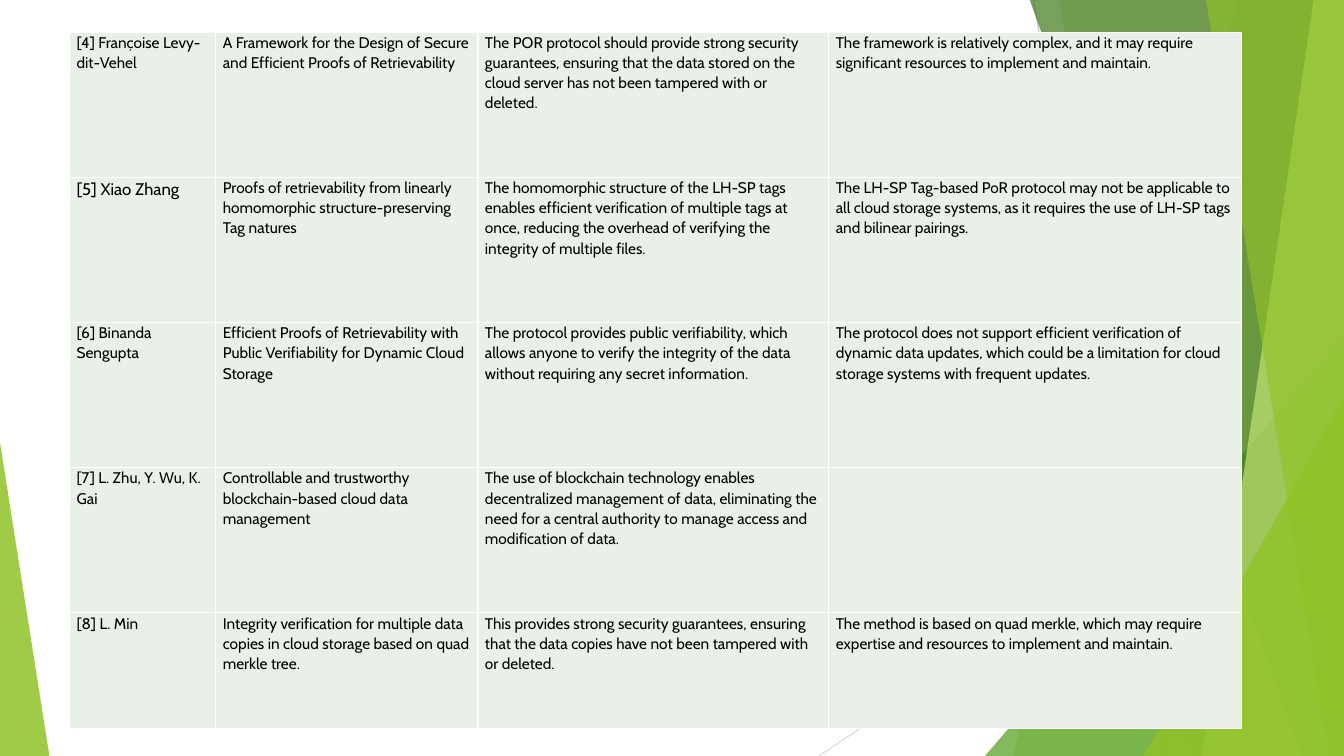
from lxml import etree
from pptx import Presentation
from pptx.dml.color import RGBColor
from pptx.enum.shapes import MSO_CONNECTOR, MSO_SHAPE
from pptx.oxml.ns import qn
from pptx.util import Pt

STRAIGHT = MSO_CONNECTOR.STRAIGHT
PEAK = MSO_SHAPE.ISOSCELES_TRIANGLE
SCALE = 9144
WIDE, HIGH = 1333, 750

THEME = {
    "lime": "90C226", "green": "54A021", "forest": "3F7819", "pale": "C0E474",
    "grey": "BFBFBF", "mist": "D9D9D9", "cell": "E9F0E8", "edge": "FFFFFF",
    "ink": "000000", "font": "Cabin", "size": Pt(11), "large": Pt(12),
}
PARA = {"line_spacing": 1.07, "space_after": Pt(8)}
FONT = {"name": THEME["font"], "size": THEME["size"]}

COLS = [145, 260, 348, 409]
ROWS = [144, 144, 144, 144, 115]
LARGE = {(1, 0)}
PAPERS = [
    ["[4] Françoise Levy-dit-Vehel",
     "A Framework for the Design of Secure and Efficient Proofs of Retrievability",
     "The POR protocol should provide strong security guarantees, ensuring that the data "
     "stored on the cloud server has not been tampered with or deleted.",
     "The framework is relatively complex, and it may require significant resources to "
     "implement and maintain."],
    ["[5] Xiao Zhang",
     "Proofs of retrievability from linearly homomorphic structure-preserving Tag natures",
     "The homomorphic structure of the LH-SP tags enables efficient verification of multiple "
     "tags at once, reducing the overhead of verifying the integrity of multiple files.",
     "The LH-SP Tag-based PoR protocol may not be applicable to all cloud storage systems, "
     "as it requires the use of LH-SP tags and bilinear pairings."],
    ["[6] Binanda Sengupta",
     "Efficient Proofs of Retrievability with Public Verifiability for Dynamic Cloud Storage",
     "The protocol provides public verifiability, which allows anyone to verify the integrity "
     "of the data without requiring any secret information.",
     "The protocol does not support efficient verification of dynamic data updates, which "
     "could be a limitation for cloud storage systems with frequent updates."],
    ["[7] L. Zhu, Y. Wu, K. Gai",
     "Controllable and trustworthy blockchain-based cloud data management",
     "The use of blockchain technology enables decentralized management of data, eliminating "
     "the need for a central authority to manage access and modification of data.",
     ""],
    ["[8] L. Min",
     "Integrity verification for multiple data copies in cloud storage based on quad merkle tree.",
     "This provides strong security guarantees, ensuring that the data copies have not been "
     "tampered with or deleted.",
     "The method is based on quad merkle, which may require expertise and resources to "
     "implement and maintain."],
]


def px(*nums):
    return [n * SCALE for n in nums]


def tint(name):
    return RGBColor.from_string(THEME[name])


def style(item, form):
    for key, value in form.items():
        setattr(item, key, value)


def paint(shape, name, alpha):
    shape.shadow.inherit = False
    shape.line.fill.background()
    shape.fill.solid()
    shape.fill.fore_color.rgb = tint(name)
    color = shape._element.spPr.find(qn("a:solidFill")).find(qn("a:srgbClr"))
    etree.SubElement(color, qn("a:alpha"), val=str(alpha * 1000))


def draw_line(slide, start, end, name):
    line = slide.shapes.add_connector(STRAIGHT, *px(*start, *end))
    line.line.color.rgb = tint(name)
    line.line.width = Pt(0.75)
    etree.SubElement(line._element.spPr, qn("a:effectLst"))


def add_pane(slide, box, top, base):
    x, y, w, h = box
    pane = slide.shapes.build_freeform(x + top, y - 1, SCALE)
    pane.add_line_segments([(x + w, y - 1), (x + w, y + h), (x + base, y + h)], close=True)
    return pane.convert_to_shape()


def add_peak(slide, box, left, top, tip=1):
    x, y, w, h = box
    peak = slide.shapes.add_shape(PEAK, *px(x + left, y + top, w - left, h - top))
    peak.adjustments[0] = tip
    return peak


def draw_wing(slide, box):
    x, y, w, h = box
    draw_line(slide, (x + 213, y), (x + 346, y + h), "grey")
    draw_line(slide, (x + w, y + 403), (x, y + h), "mist")
    for make, first, second, name, alpha in [
        (add_pane, 416, 192, "lime", 30),
        (add_pane, 238, 371, "lime", 20),
        (add_peak, 165, 333, "green", 72),
        (add_pane, 209, 479, "forest", 70),
        (add_pane, 491, 380, "pale", 70),
        (add_pane, 384, 506, "lime", 65),
        (add_peak, 322, 393, "lime", 80),
    ]:
        paint(make(slide, box, first, second), name, alpha)


def draw_edge(slide, box):
    paint(add_peak(slide, box, 0, 0, tip=0), "lime", 85)


def frame(cell):
    props = cell._tc.get_or_add_tcPr()
    for side in ("lnL", "lnR", "lnT", "lnB"):
        line = etree.SubElement(props, qn(f"a:{side}"), w=str(Pt(1)))
        fill = etree.SubElement(line, qn("a:solidFill"))
        etree.SubElement(fill, qn("a:srgbClr"), val=THEME["edge"])


def fill_cell(cell, text, large):
    pad = 7 * SCALE
    style(cell, {"margin_left": pad, "margin_right": pad, "margin_top": 0, "margin_bottom": 0})
    frame(cell)
    cell.fill.solid()
    cell.fill.fore_color.rgb = tint("cell")
    if text:
        para = cell.text_frame.paragraphs[0]
        style(para, PARA)
        run = para.add_run()
        run.text = text
        style(run.font, FONT)
        run.font.color.rgb = tint("ink")
        if large:
            run.font.size = THEME["large"]


def draw_table(slide, box):
    table = slide.shapes.add_table(len(ROWS), len(COLS), *px(*box)).table
    style(table, {"first_row": False, "horz_banding": False})
    for col, width in zip(table.columns, COLS):
        col.width = width * SCALE
    for row, height in zip(table.rows, ROWS):
        row.height = height * SCALE
    for r, paper in enumerate(PAPERS):
        for c, text in enumerate(paper):
            fill_cell(table.cell(r, c), text, (r, c) in LARGE)


def main():
    deck = Presentation()
    deck.slide_width, deck.slide_height = px(WIDE, HIGH)
    slide = deck.slides.add_slide(deck.slide_layouts[6])
    draw_wing(slide, (812, 0, WIDE - 812, HIGH))
    draw_edge(slide, (0, 439, 49, HIGH - 439))
    draw_table(slide, (69, 32, sum(COLS), sum(ROWS)))
    deck.save("out.pptx")


if __name__ == "__main__":
    main()
